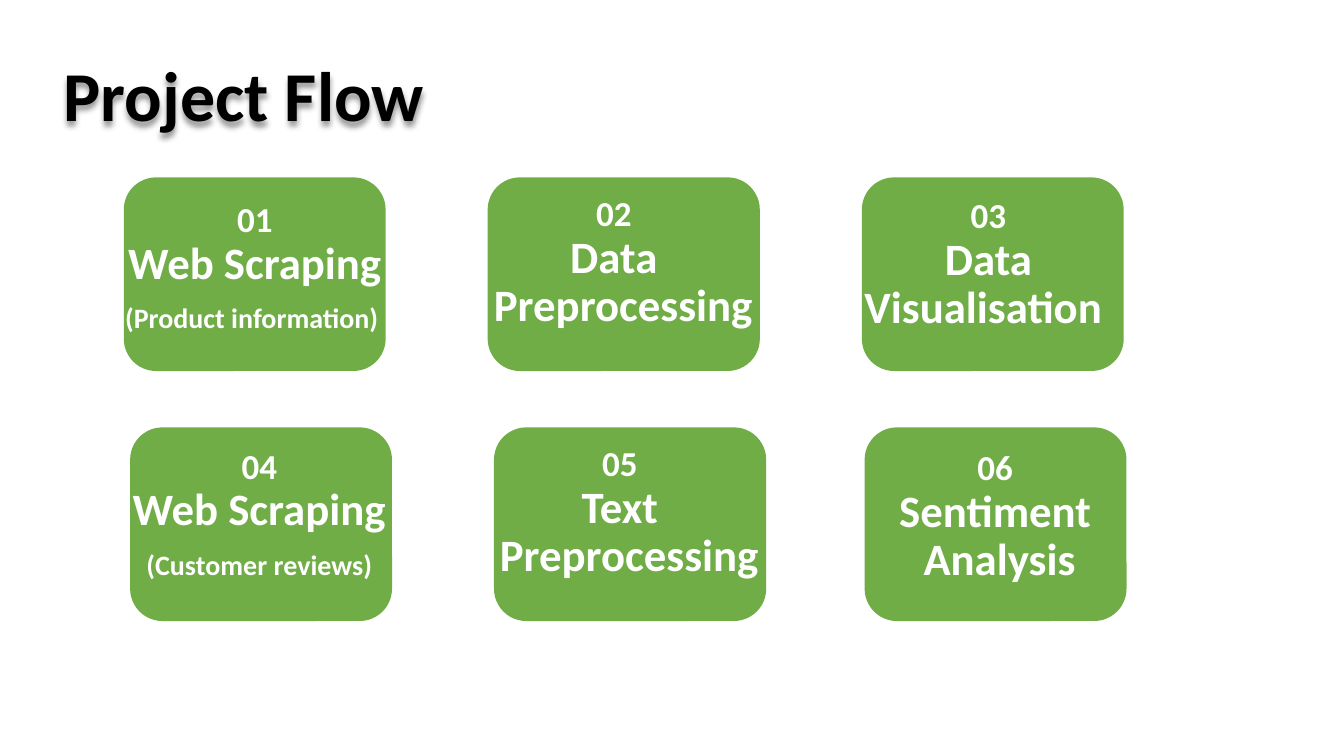
from lxml import etree
from pptx import Presentation
from pptx.dml.color import RGBColor
from pptx.enum.shapes import MSO_SHAPE
from pptx.enum.text import MSO_ANCHOR, MSO_AUTO_SIZE, PP_ALIGN
from pptx.util import Cm, Pt

ROUNDED = MSO_SHAPE.ROUNDED_RECTANGLE
CENTER, LEFT = PP_ALIGN.CENTER, PP_ALIGN.LEFT
GREEN = RGBColor(0x70, 0xAD, 0x47)
WHITE = RGBColor(0xFF, 0xFF, 0xFF)
BLACK = RGBColor(0, 0, 0)
FONT = "Calibri"
DRAWING = "http://schemas.openxmlformats.org/drawingml/2006/main"

# Content: heading lines, note, card (left, width), label (left, offset, width, height) in cm
TITLE = "Project Flow"
ROWS = [
    [
        (["Web Scraping"], "(Product information) ", (3.12, 6.6), (1.98, 0.51, 8.89, 3.68)),
        (["Data Preprocessing"], None, (12.29, 6.86), (11.56, 0.36, 7.82, 3.68)),
        (["Data", "Visualisation "], None, (21.72, 6.6), (21.29, 0.41, 7.24, 3.68)),
    ],
    [
        (["Web Scraping"], "(Customer reviews)", (3.28, 6.6), (2.74, 0.43, 7.59, 3.68)),
        (["Text Preprocessing"], None, (12.45, 6.86), (11.71, 0.36, 7.82, 3.68)),
        (["Sentiment Analysis "], None, (21.79, 6.6), (21.92, 0.46, 6.32, 4.65)),
    ],
]
FIRST_TOP, ROW_STEP, CARD_HEIGHT = 4.47, 6.3, 4.88
NUMBER_SIZE, HEADING_SIZE, NOTE_SIZE = 25, 32, 20
NOTE_GAP = 11
HANGING = Cm(0.48)


def format_paragraph(paragraph, size, color, alignment):
    paragraph.alignment = alignment
    paragraph.line_spacing = 0.9
    paragraph.font.name = FONT
    paragraph.font.size = Pt(size)
    paragraph.font.bold = True
    paragraph.font.color.rgb = color


def add_title(slide):
    title = slide.shapes.title
    title.left, title.top, title.width, title.height = Cm(1.35), Cm(1.52), Cm(25.4), Cm(2.06)
    title.text_frame.text = TITLE
    title.text_frame.vertical_anchor = MSO_ANCHOR.BOTTOM
    title.text_frame.auto_size = MSO_AUTO_SIZE.NONE
    format_paragraph(title.text_frame.paragraphs[0], 50, BLACK, LEFT)

    # Soft shadow below the letters
    title.fill.background()
    effects = etree.SubElement(title.element.spPr, f"{{{DRAWING}}}effectLst")
    shadow = etree.SubElement(effects, f"{{{DRAWING}}}outerShdw", blurRad="50800",
                              dist="38100", dir="5400000", algn="t", rotWithShape="0")
    shade = etree.SubElement(shadow, f"{{{DRAWING}}}prstClr", val="black")
    etree.SubElement(shade, f"{{{DRAWING}}}alpha", val="40000")


def add_card(slide, left, top, width):
    card = slide.shapes.add_shape(ROUNDED, Cm(left), Cm(top), Cm(width), Cm(CARD_HEIGHT))
    card.shadow.inherit = False
    card.fill.solid()
    card.fill.fore_color.rgb = GREEN
    card.line.fill.background()


def add_label(slide, left, top, width, height, number, headings, note):
    label = slide.shapes.add_textbox(Cm(left), Cm(top), Cm(width), Cm(height))
    frame = label.text_frame
    frame.word_wrap = True
    frame.auto_size = MSO_AUTO_SIZE.SHAPE_TO_FIT_TEXT
    lines = [(f"{number:02d}", NUMBER_SIZE)]
    lines += [(heading, HEADING_SIZE) for heading in headings]
    if note:
        lines.append((note, NOTE_SIZE))
    for index, (text, size) in enumerate(lines):
        paragraph = frame.paragraphs[0] if index == 0 else frame.add_paragraph()
        paragraph.text = text
        format_paragraph(paragraph, size, WHITE, CENTER)
        properties = paragraph._p.get_or_add_pPr()
        properties.set("marL", str(HANGING))
        properties.set("indent", str(-HANGING))
        if size == NOTE_SIZE:
            paragraph.space_before = Pt(NOTE_GAP)


def main():
    presentation = Presentation()
    presentation.slide_width, presentation.slide_height = Cm(33.87), Cm(19.05)
    slide = presentation.slides.add_slide(presentation.slide_layouts[5])
    add_title(slide)

    # Numbered steps, row by row
    number = 0
    for row, steps in enumerate(ROWS):
        top = FIRST_TOP + row * ROW_STEP
        for headings, note, (card_left, card_width), (left, offset, width, height) in steps:
            number += 1
            add_card(slide, card_left, top, card_width)
            add_label(slide, left, top + offset, width, height, number, headings, note)

    presentation.save("out.pptx")


if __name__ == "__main__":
    main()
